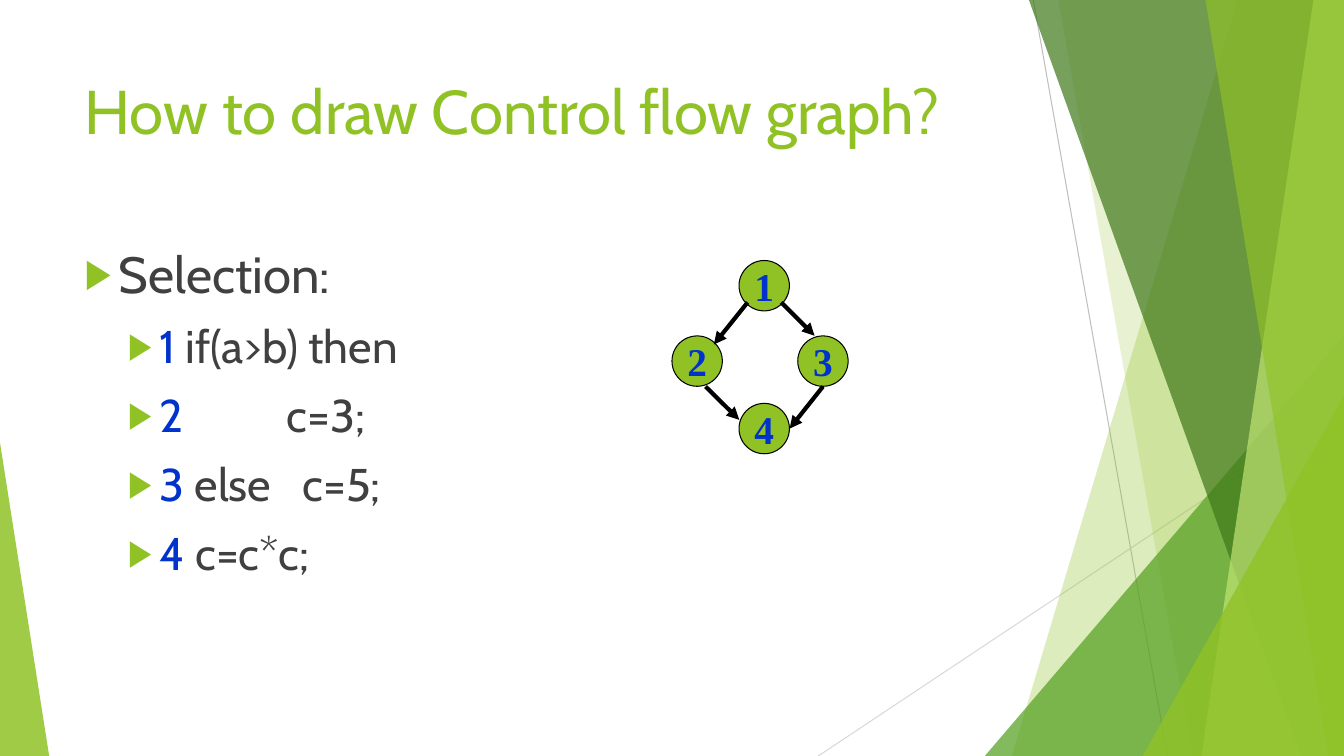
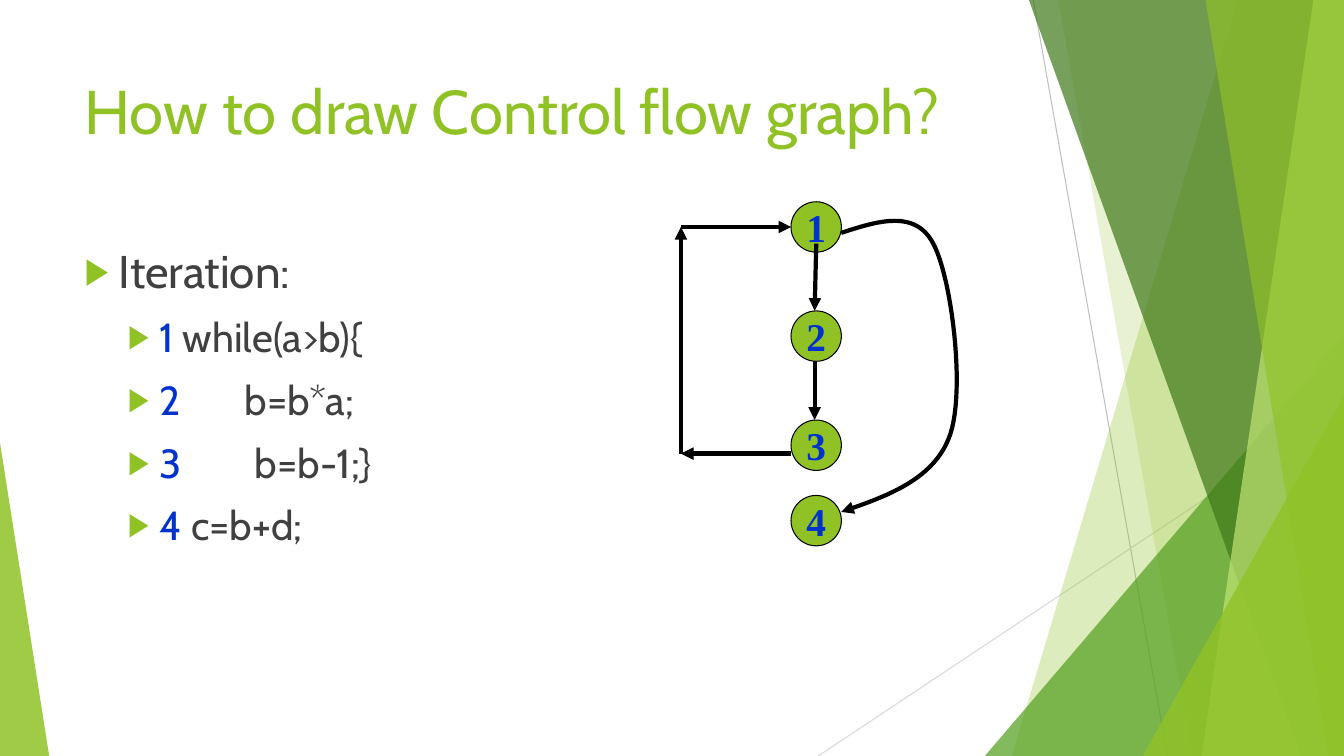
"""Build two slides on drawing control flow graphs."""
from dataclasses import dataclass
from itertools import pairwise

from lxml.etree import SubElement
from pptx import Presentation
from pptx.dml.color import RGBColor
from pptx.enum.shapes import MSO_CONNECTOR as Link, MSO_SHAPE as Preset
from pptx.enum.text import MSO_ANCHOR as Anchor, MSO_AUTO_SIZE as Fit, PP_ALIGN as Align
from pptx.oxml.ns import qn
from pptx.util import Cm, Pt


@dataclass(frozen=True)
class Theme:
    lime: str = "90C226"
    leaf: str = "54A021"
    forest: str = "3F7819"
    pale: str = "C0E474"
    gray: str = "BFBFBF"
    light_gray: str = "D9D9D9"
    text: str = "404040"
    number: str = "0033CC"
    ink: str = "000000"
    font: str = "Cabin"
    node_font: str = "Times New Roman"
    title_size: float = 44.1
    node_size: float = 28.1
    thin: float = 0.75
    thick: float = 3
    space_before: float = 10


THEME = Theme()
WIDTH, HEIGHT = 33.87, 19.05
NODE = 1.27
TITLE = "How to draw Control flow graph?"
INDENTS = ((0.86, -0.86), (1.88, -0.79))


def rgb(value):
    return RGBColor.from_string(value)


def set_font(font, name, size, color, bold=False):
    font.name, font.size, font.bold = name, Pt(size), bold
    font.color.rgb = rgb(color)


def set_line(item, color, width, arrow=False):
    item.line.color.rgb = rgb(color)
    item.line.width = Pt(width)
    if arrow:
        SubElement(item.element.xpath("./p:spPr/a:ln")[0], qn("a:tailEnd"), type="triangle")


def tint(shape, color, opacity):
    shape.shadow.inherit = False
    shape.fill.solid()
    shape.fill.fore_color.rgb = rgb(color)
    shape.line.fill.background()
    tone = shape.element.xpath("./p:spPr/a:solidFill/a:srgbClr")[0]
    SubElement(tone, qn("a:alpha"), val=str(opacity * 1000))


def add_outline(shapes, points, close):
    start, *rest = [(Cm(x), Cm(y)) for x, y in points]
    builder = shapes.build_freeform(*start, scale=1.0)
    builder.add_line_segments(rest, close=close)
    return builder.convert_to_shape()


def add_slat(shapes, top_x, bottom_x, color, opacity):
    corners = [(top_x, 0), (WIDTH, 0), (WIDTH, HEIGHT), (bottom_x, HEIGHT)]
    tint(add_outline(shapes, corners, True), color, opacity)


def add_wedge(shapes, left, top, right, apex, color, opacity):
    wedge = shapes.add_shape(Preset.ISOSCELES_TRIANGLE, Cm(left), Cm(top),
                             Cm(right - left), Cm(HEIGHT - top))
    wedge.adjustments[0] = apex
    tint(wedge, color, opacity)


def add_link(shapes, start, end, color=THEME.ink, width=THEME.thick, arrow=True):
    ends = [Cm(value) for value in (*start, *end)]
    link = shapes.add_connector(Link.STRAIGHT, *ends)
    set_line(link, color, width, arrow)
    SubElement(link.element.spPr, qn("a:effectLst"))


def add_curve(shapes, points, steps=24):
    route = [points[0]]
    for first in range(0, len(points) - 1, 3):
        a, b, c, d = points[first:first + 4]
        for step in range(1, steps + 1):
            t = step / steps
            u = 1 - t
            weights = (u ** 3, 3 * u * u * t, 3 * u * t * t, t ** 3)
            route.append(tuple(sum(w * p[axis] for w, p in zip(weights, (a, b, c, d)))
                               for axis in (0, 1)))
    curve = add_outline(shapes, route, False)
    curve.shadow.inherit = False
    curve.fill.background()
    set_line(curve, THEME.ink, THEME.thick, arrow=True)


def add_nodes(shapes, centers):
    for number, (x, y) in enumerate(centers, 1):
        node = shapes.add_shape(Preset.OVAL, Cm(x - NODE / 2), Cm(y - NODE / 2), Cm(NODE), Cm(NODE))
        node.shadow.inherit = False
        node.fill.solid()
        node.fill.fore_color.rgb = rgb(THEME.lime)
        set_line(node, THEME.ink, THEME.thin)
        frame = node.text_frame
        frame.word_wrap = False
        frame.vertical_anchor = Anchor.MIDDLE
        label = frame.paragraphs[0]
        label.text, label.alignment = str(number), Align.CENTER
        set_font(label.font, THEME.node_font, THEME.node_size, THEME.number, True)


def style_bullet(paragraph, level, size):
    paragraph.level = level
    paragraph.space_before = Pt(THEME.space_before if level else 0)
    props = paragraph._p.get_or_add_pPr()
    margin, indent = INDENTS[level]
    props.set("marL", str(Cm(margin)))
    props.set("indent", str(Cm(indent)))
    SubElement(SubElement(props, qn("a:buClr")), qn("a:srgbClr"), val=THEME.lime)
    SubElement(props, qn("a:buSzPct"), val="80000")
    SubElement(props, qn("a:buChar"), char="▶")
    set_font(paragraph.font, THEME.font, size, THEME.text)


def fill_body(frame, heading, code_lines, heading_size, code_size):
    first = frame.paragraphs[0]
    first.text = heading
    style_bullet(first, 0, heading_size)
    for number, code in enumerate(code_lines, 1):
        line = frame.add_paragraph()
        style_bullet(line, 1, code_size)
        label = line.add_run()
        label.text = str(number)
        label.font.color.rgb = rgb(THEME.number)
        line.add_run().text = code


def place(holder, left, top, width, height):
    holder.left, holder.top, holder.width, holder.height = map(Cm, (left, top, width, height))


def add_content_slide(deck, layout, heading, code_lines, heading_size, code_size):
    slide = deck.slides.add_slide(layout)
    title, body = slide.placeholders
    for holder in (title, body):
        holder.text_frame.word_wrap = True
        holder.text_frame.auto_size = Fit.NONE
        holder.text_frame.vertical_anchor = Anchor.TOP
    line = title.text_frame.paragraphs[0]
    line.text, line.alignment = TITLE, Align.LEFT
    set_font(line.font, THEME.font, THEME.title_size, THEME.lime)
    fill_body(body.text_frame, heading, code_lines, heading_size, code_size)
    return slide


def decorate_layout(layout, slide):
    """Draw the facets as a group and move it behind the layout placeholders."""
    facets = slide.shapes.add_group_shape()
    shapes = facets.shapes
    add_link(shapes, (26.04, 0), (29.42, HEIGHT), THEME.gray, THEME.thin, False)
    add_link(shapes, (WIDTH, 10.24), (20.62, HEIGHT), THEME.light_gray, THEME.thin, False)
    add_slat(shapes, 31.19, 25.5, THEME.lime, 30)
    add_slat(shapes, 26.67, 30.05, THEME.lime, 20)
    add_wedge(shapes, 24.82, 8.46, WIDTH, 1, THEME.leaf, 72)
    add_slat(shapes, 25.93, 32.79, THEME.forest, 70)
    add_slat(shapes, 33.1, 30.28, THEME.pale, 70)
    add_slat(shapes, 30.38, 33.48, THEME.lime, 65)
    add_wedge(shapes, 28.8, 9.98, WIDTH, 1, THEME.lime, 80)
    add_wedge(shapes, 0, 11.15, 1.24, 0, THEME.lime, 85)
    for number, facet in enumerate(facets.element.xpath(".//p:cNvPr"), 100):
        facet.set("id", str(number))
    layout.shapes.element.insert(2, facets.element)


def draw_selection(shapes):
    add_nodes(shapes, [(19.26, 7.2), (17.57, 9.1), (20.74, 9.1), (19.26, 10.8)])
    add_link(shapes, (18.84, 7.62), (17.99, 8.68))
    add_link(shapes, (19.69, 7.62), (20.53, 8.46))
    add_link(shapes, (17.78, 9.74), (18.63, 10.58))
    add_link(shapes, (20.74, 9.74), (19.9, 10.8))


def draw_iteration(shapes):
    add_nodes(shapes, [(20.57, y) for y in (5.72, 8.47, 11.22, 13.12)])
    add_link(shapes, (20.57, 6.14), (20.53, 7.83))
    add_link(shapes, (20.53, 9.1), (20.53, 10.58))
    loop = [(19.94, 11.43), (17.16, 11.43), (17.16, 5.72), (19.94, 5.72)]
    for start, end in pairwise(loop):
        add_link(shapes, start, end)
    add_curve(shapes, [(21.2, 5.87), (22.14, 5.56), (23.07, 5.28), (23.52, 6.14),
                       (23.98, 6.99), (24.33, 9.8), (23.95, 10.94),
                       (23.57, 12.07), (22.38, 12.5), (21.2, 12.9)])


def main():
    deck = Presentation()
    deck.slide_width, deck.slide_height = Cm(WIDTH), Cm(HEIGHT)
    layout = deck.slide_layouts[1]
    place(layout.placeholders[0], 1.88, 1.7, 23.88, 3.66)
    place(layout.placeholders[1], 1.88, 6, 23.88, 10.77)

    selection = add_content_slide(
        deck, layout, "Selection:",
        (" if(a>b) then", "          c=3;", " else   c=5;", " c=c*c;"), 36.3, 32.7)
    decorate_layout(layout, selection)
    draw_selection(selection.shapes)

    iteration = add_content_slide(
        deck, layout, "Iteration:",
        (" while(a>b){", "       b=b*a;", "        b=b-1;}", " c=b+d;"), 32.7, 29)
    draw_iteration(iteration.shapes)
    deck.save("out.pptx")


if __name__ == "__main__":
    main()
